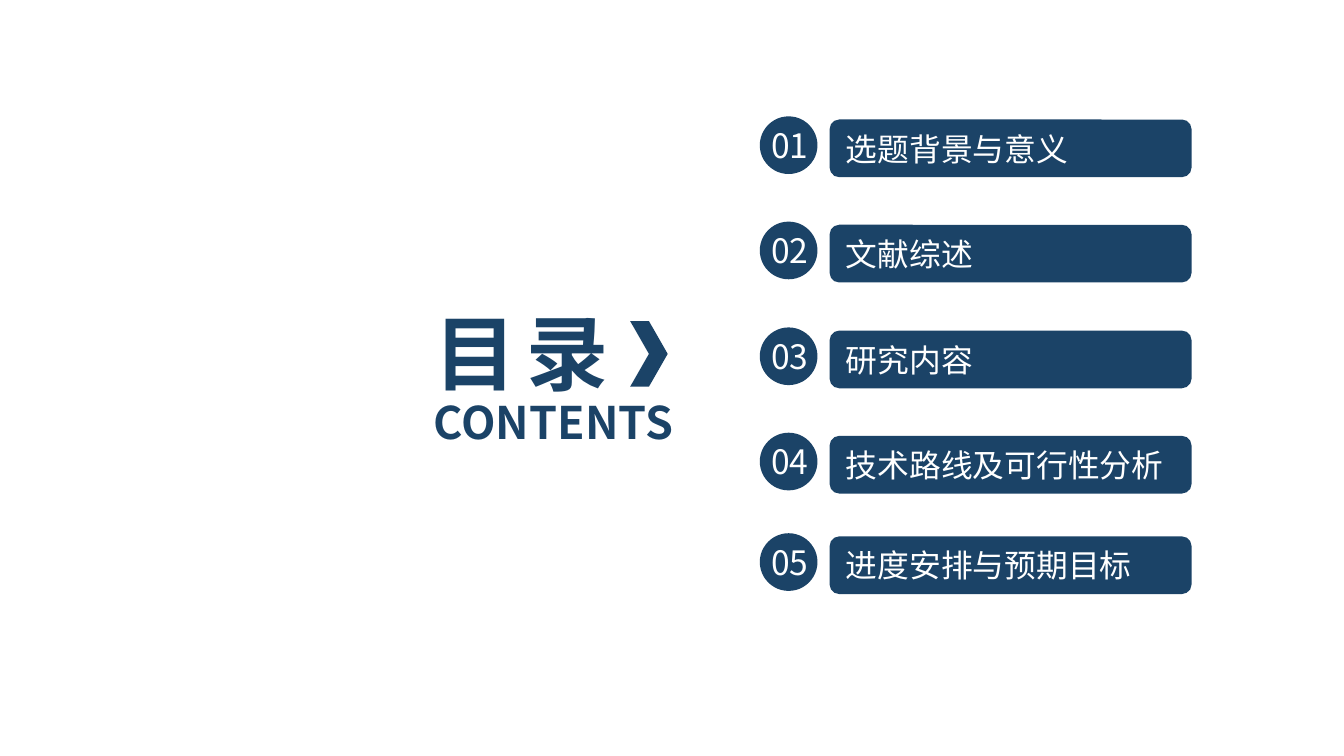
"""Build a contents slide with a heading and five numbered bars."""
from lxml.etree import SubElement
from pptx import Presentation
from pptx.dml.color import RGBColor
from pptx.enum.shapes import MSO_SHAPE
from pptx.enum.text import MSO_ANCHOR, MSO_AUTO_SIZE, PP_ALIGN
from pptx.oxml.ns import qn
from pptx.util import Cm, Pt

THEME = {
    "font": "Noto Sans CJK SC",
    "navy": RGBColor.from_string("1B4367"),
    "white": RGBColor.from_string("FFFFFF"),
    "head": Pt(44),
    "sub": Pt(24),
    "num": Pt(18),
    "item": Pt(17),
}
FRAME = {
    "word_wrap": True,
    "auto_size": MSO_AUTO_SIZE.NONE,
    "vertical_anchor": MSO_ANCHOR.MIDDLE,
}


def write(shape, text, size, color, bold=False, align=PP_ALIGN.LEFT):
    frame = shape.text_frame
    for name, value in FRAME.items():
        setattr(frame, name, value)
    line = frame.paragraphs[0]
    for name, value in {"alignment": align, "line_spacing": 1.0}.items():
        setattr(line, name, value)
    run = line.add_run()
    run.text = text
    look = {"name": THEME["font"], "size": THEME[size], "bold": bold}
    for name, value in look.items():
        setattr(run.font, name, value)
    run.font.color.rgb = THEME[color]
    props = run._r.get_or_add_rPr()
    SubElement(props, qn("a:ea")).set("typeface", THEME["font"])
    return props


def draw(shapes, kind, left, top, width, height):
    shape = shapes.add_shape(kind, Cm(left), Cm(top), Cm(width), Cm(height))
    shape.shadow.inherit = False
    shape.fill.solid()
    shape.fill.fore_color.rgb = THEME["navy"]
    shape.line.fill.background()
    return shape


deck = Presentation()
deck.slide_width, deck.slide_height = Cm(25.4), Cm(14.29)
slide = deck.slides.add_slide(deck.slide_layouts[5])

title = slide.shapes.title
place = {"left": Cm(7.95), "top": Cm(5.59), "width": Cm(5.97), "height": Cm(2.13)}
for name, value in place.items():
    setattr(title, name, value)
write(title, "目 录", "head", "navy", bold=True).set("spc", "-220")

label = slide.shapes.add_textbox(Cm(7.95), Cm(7.34), Cm(5.87), Cm(1.27))
write(label, "CONTENTS", "sub", "navy", bold=True)
draw(slide.shapes, MSO_SHAPE.CHEVRON, 11.91, 6.07, 0.71, 1.24)

items = [
    ("选题背景与意义", 2.26),
    ("文献综述", 4.25),
    ("研究内容", 6.25),
    ("技术路线及可行性分析", 8.24),
    ("进度安排与预期目标", 10.14),
]
for count, (text, top) in enumerate(items, 1):
    bar = draw(slide.shapes, MSO_SHAPE.ROUNDED_RECTANGLE, 15.68, top, 6.84, 1.09)
    write(bar, text, "item", "white")
    badge = slide.shapes.add_group_shape().shapes
    draw(badge, MSO_SHAPE.OVAL, 14.36, top - 0.06, 1.09, 1.09)
    num = badge.add_textbox(Cm(14.27), Cm(top - 0.03), Cm(1.32), Cm(1.02))
    write(num, f"{count:02}", "num", "white", align=PP_ALIGN.CENTER)

deck.save("out.pptx")
